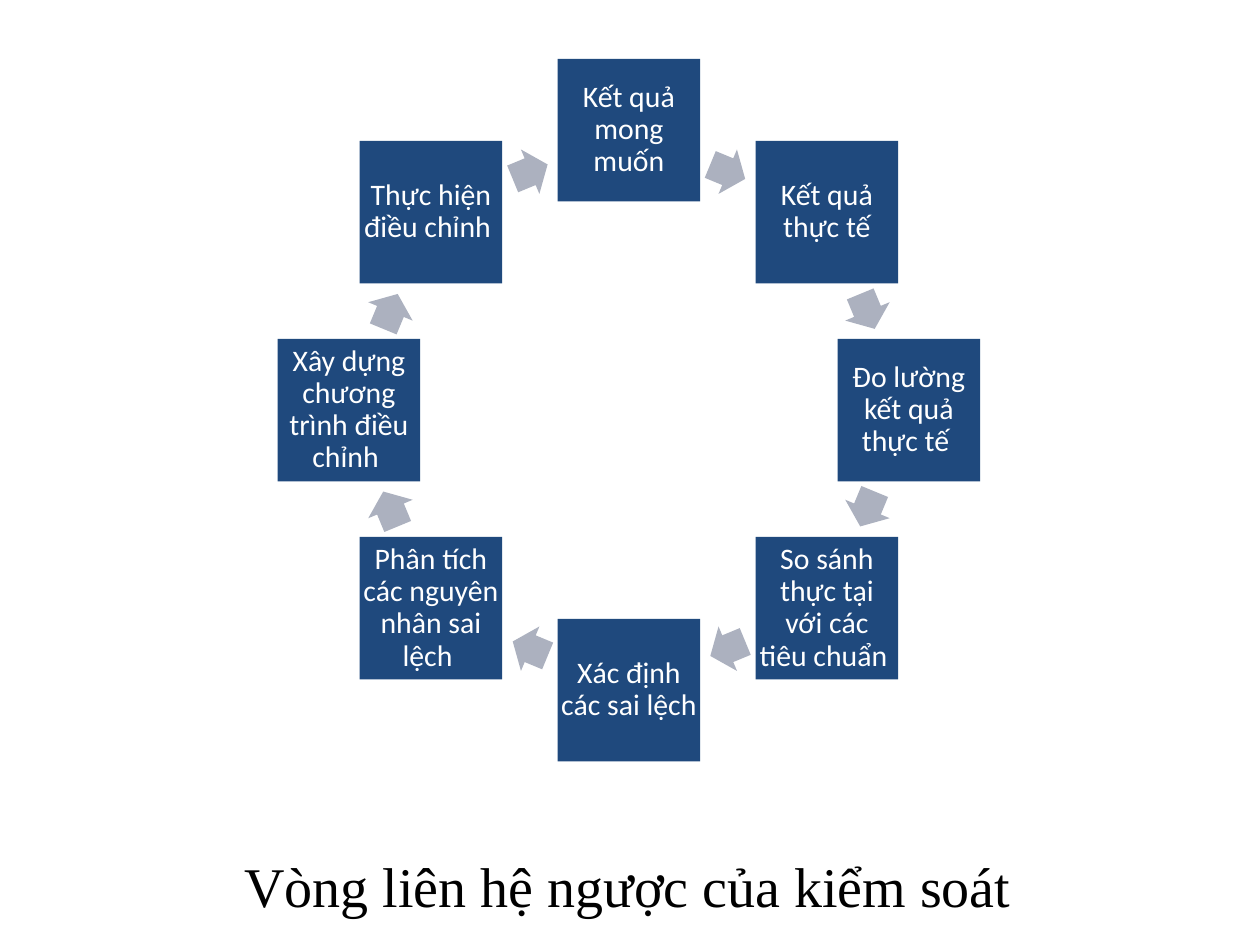
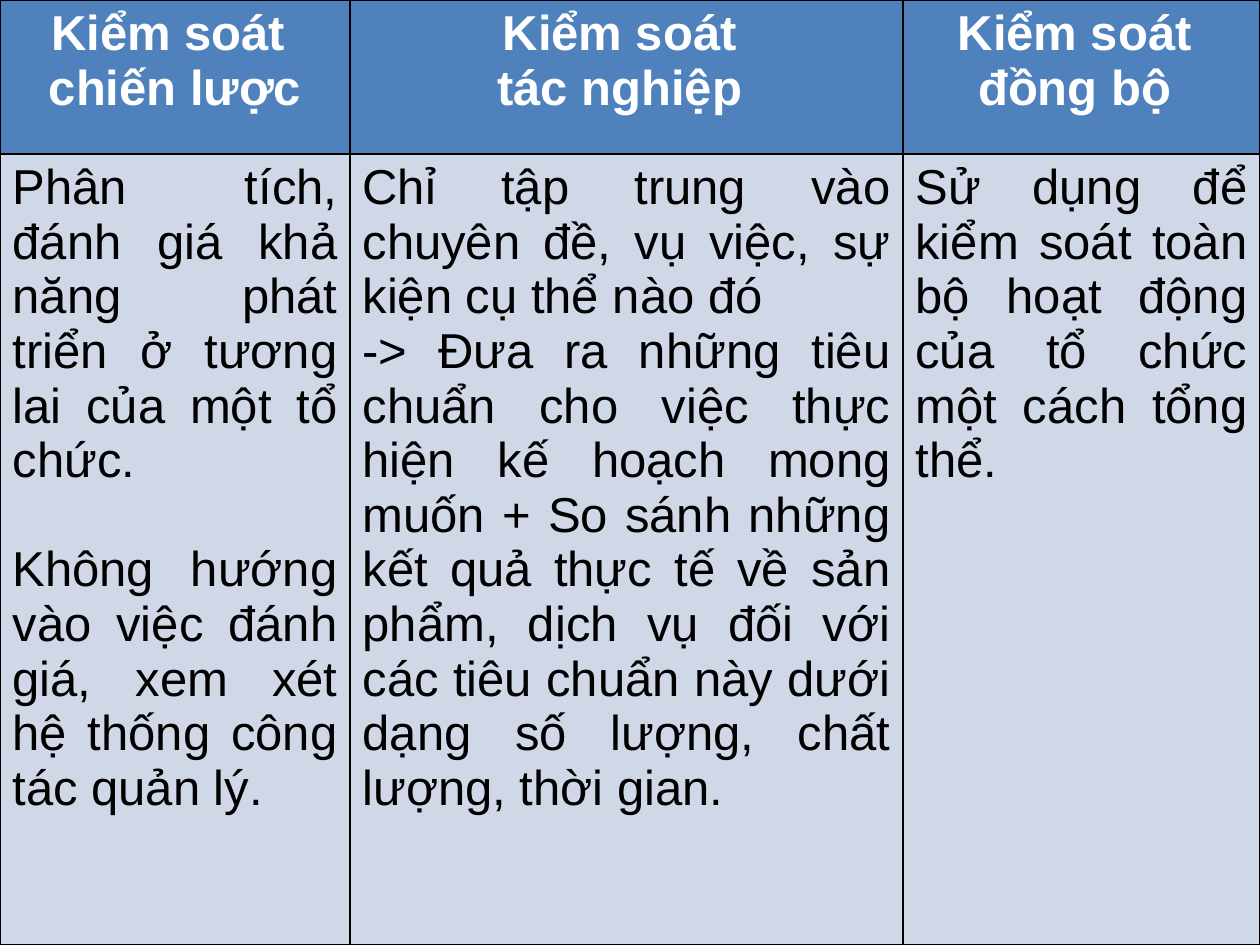
import math

from lxml import etree
from pptx import Presentation
from pptx.dml.color import RGBColor
from pptx.enum import shapes, text
from pptx.oxml import ns
from pptx.util import Pt

NAVY, BLUE, PALE, GREY = "1F497D", "4F81BD", "D0D8E8", "ACB1BF"
WHITE, BLACK = "FFFFFF", "000000"
ALIGN = text.PP_ALIGN


def paint(target, colour):
    """Give a fill or a font one solid colour."""
    if hasattr(target, "solid"):
        target.solid()
        target.fore_color.rgb = RGBColor.from_string(colour)
    else:
        target.color.rgb = RGBColor.from_string(colour)


def write(frame, lines, font, size, colour, align, bold=False, spacing=None, gap=0):
    """Fill a text frame with one paragraph per line, set apart by gap points."""
    for index, line in enumerate(lines):
        para = frame.add_paragraph() if index else frame.paragraphs[0]
        para.alignment = align
        para.line_spacing = spacing
        if index and gap:
            para.space_before = Pt(gap)
        span = para.add_run()
        span.text = line
        span.font.name = font
        span.font.size = Pt(size)
        span.font.bold = bold
        paint(span.font, colour)


deck = Presentation()
deck.slide_width, deck.slide_height = Pt(720), Pt(540)

# Slide 1: feedback loop
page = deck.slides.add_slide(deck.slide_layouts[5])
title = page.shapes.title
title.left, title.top, title.width, title.height = Pt(132.5), Pt(483), Pt(456.5), Pt(46)
title.text_frame.auto_size = text.MSO_AUTO_SIZE.NONE
title.text_frame.word_wrap = False
title.text_frame.vertical_anchor = text.MSO_ANCHOR.TOP
write(title.text_frame, ["Vòng liên hệ ngược của kiểm soát"],
      "Times New Roman", 32, BLACK, ALIGN.LEFT)

steps = [
    "Kết quả mong muốn",
    "Kết quả thực tế",
    "Đo lường kết quả thực tế ",
    "So sánh thực tại với các tiêu chuẩn ",
    "Xác định các sai lệch ",
    "Phân tích các nguyên nhân sai lệch ",
    "Xây dựng chương trình điều chỉnh ",
    "Thực hiện điều chỉnh ",
]
center_x, center_y = 359.4, 234.4
turn = 360 / len(steps)
# Boxes sit on the ring; arrows sit halfway between them, slightly further in
ring_parts = [
    (shapes.MSO_SHAPE.RECTANGLE, 160, 81.4, 81.4, NAVY, 0),
    (shapes.MSO_SHAPE.RIGHT_ARROW, 147.5, 21.6, 27.5, GREY, turn / 2),
]
for number, step in enumerate(steps):
    for kind, radius, width, height, colour, offset in ring_parts:
        angle = number * turn + offset
        x = center_x + radius * math.sin(math.radians(angle))
        y = center_y - radius * math.cos(math.radians(angle))
        box = page.shapes.add_shape(kind, Pt(x - width / 2), Pt(y - height / 2),
                                    Pt(width), Pt(height))
        box.shadow.inherit = False
        paint(box.fill, colour)
        box.line.fill.background()
        if kind == shapes.MSO_SHAPE.RIGHT_ARROW:
            box.rotation = angle
            box.adjustments[0], box.adjustments[1] = 0.6, 0.5
        else:
            frame = box.text_frame
            frame.word_wrap = True
            frame.vertical_anchor = text.MSO_ANCHOR.MIDDLE
            frame.margin_left = frame.margin_right = Pt(1.7)
            frame.margin_top = frame.margin_bottom = Pt(1.7)
            write(frame, [step], "Calibri", 17, WHITE, ALIGN.CENTER, spacing=0.9)

# Slide 2: kinds of control
page = deck.slides.add_slide(deck.slide_layouts[6])
headings = [
    ["Kiểm soát ", "chiến lược"],
    ["Kiểm soát ", "tác nghiệp "],
    ["Kiểm soát ", "đồng bộ "],
]
details = [
    ["Phân tích, đánh giá khả năng phát triển ở tương lai của một tổ chức.",
     "Không hướng vào việc đánh giá, xem xét hệ thống công tác quản lý."],
    ["Chỉ tập trung vào chuyên đề, vụ việc, sự kiện cụ thể nào đó",
     "-> Đưa ra những tiêu chuẩn cho việc thực hiện kế hoạch mong muốn + "
     "So sánh những kết quả thực tế về sản phẩm, dịch vụ đối với các tiêu chuẩn này "
     "dưới dạng số lượng, chất lượng, thời gian."],
    ["Sử dụng để kiểm soát toàn bộ hoạt động của tổ chức một cách tổng thể."],
]
table = page.shapes.add_table(2, 3, 0, 0, Pt(720), Pt(540)).table
for column, width in zip(table.columns, (200, 316, 204)):
    column.width = Pt(width)
for row, height in zip(table.rows, (88, 452)):
    row.height = Pt(height)

row_styles = [
    (headings, BLUE, dict(colour=WHITE, align=ALIGN.CENTER, bold=True)),
    (details, PALE, dict(colour=BLACK, align=ALIGN.JUSTIFY)),
]
for row, (contents, fill, style) in enumerate(row_styles):
    for column, lines in enumerate(contents):
        cell = table.cell(row, column)
        properties = cell._tc.get_or_add_tcPr()
        for side in ("a:lnL", "a:lnR", "a:lnT", "a:lnB"):
            border = etree.SubElement(properties, ns.qn(side), w=str(Pt(1)))
            solid = etree.SubElement(border, ns.qn("a:solidFill"))
            etree.SubElement(solid, ns.qn("a:srgbClr"), val=BLACK)
        paint(cell.fill, fill)
        gap = 31.2 if (row, column) == (1, 0) else 0
        write(cell.text_frame, lines, "Arial", 28, gap=gap, **style)

deck.save("out.pptx")
